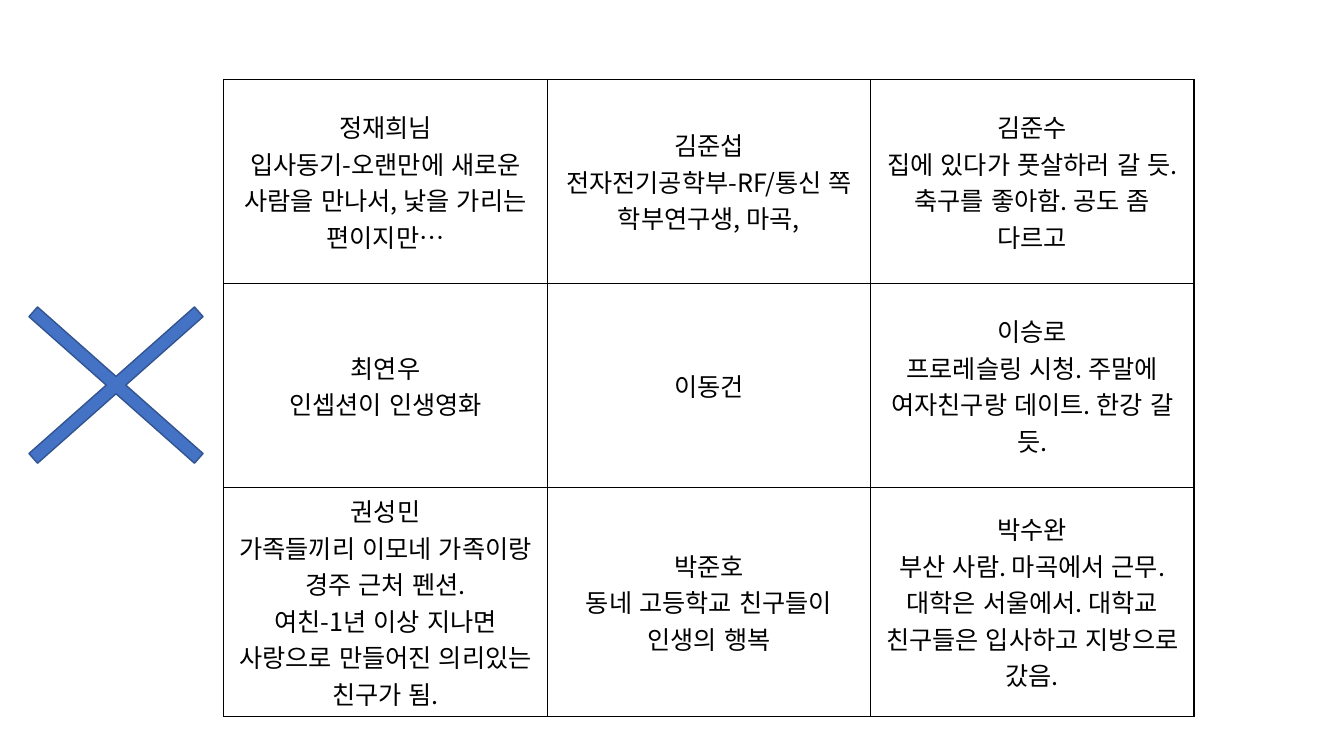
from dataclasses import dataclass

import pptx
import pptx.dml.color
import pptx.enum.shapes
import pptx.enum.text
import pptx.oxml.ns
import pptx.util
from lxml import etree
from pptx.util import Cm, Pt


@dataclass(frozen=True)
class Theme:
    font: str = "Noto Sans CJK KR"
    body: int = 18
    line: int = 1
    ink: str = "000000"
    cross_fill: str = "4472C4"
    cross_line: str = "325491"


THEME = Theme()

PEOPLE = [
    [
        ["정재희님", "입사동기-오랜만에 새로운 사람을 만나서, 낯을 가리는 편이지만…"],
        ["김준섭", "전자전기공학부-RF/통신 쪽 학부연구생, 마곡,"],
        ["김준수", "집에 있다가 풋살하러 갈 듯. 축구를 좋아함. 공도 좀 다르고"],
    ],
    [
        ["최연우", "인셉션이 인생영화"],
        ["이동건"],
        ["이승로", "프로레슬링 시청. 주말에 여자친구랑 데이트. 한강 갈 듯."],
    ],
    [
        ["권성민", "가족들끼리 이모네 가족이랑 경주 근처 펜션.",
         "여친-1년 이상 지나면 사랑으로 만들어진 의리있는 친구가 됨."],
        ["박준호", "동네 고등학교 친구들이 인생의 행복"],
        ["박수완", "부산 사람. 마곡에서 근무. 대학은 서울에서. "
                "대학교 친구들은 입사하고 지방으로 갔음."],
    ],
]


def rgb(color):
    return pptx.dml.color.RGBColor.from_string(color)


def sub(parent, tag, **attrs):
    return etree.SubElement(parent, pptx.oxml.ns.qn(tag), **attrs)


def add_text(p, text):
    """Add a run with the theme font for both Latin and Korean letters."""
    r = p.add_run()
    r.text = text
    r.font.size = Pt(THEME.body)
    r.font.name = THEME.font
    r.font.color.rgb = rgb(THEME.ink)
    rPr = r.font._element
    rPr.set("lang", "ko-KR")
    sub(rPr, "a:ea", typeface=THEME.font)


def add_borders(cell):
    tcPr = cell._tc.get_or_add_tcPr()
    for side in "LRTB":
        ln = sub(tcPr, f"a:ln{side}", w=str(Pt(THEME.line)))
        sub(sub(ln, "a:solidFill"), "a:srgbClr", val=THEME.ink)


def fill_cell(cell, lines):
    add_borders(cell)
    cell.fill.background()
    cell.vertical_anchor = pptx.enum.text.MSO_ANCHOR.MIDDLE
    tf = cell.text_frame
    for i, line in enumerate(lines):
        p = tf.add_paragraph() if i else tf.paragraphs[0]
        p.alignment = pptx.enum.text.PP_ALIGN.CENTER
        add_text(p, line)


def add_people_table(s, left, top, width, height):
    n_rows, n_cols = len(PEOPLE), len(PEOPLE[0])
    table = s.shapes.add_table(n_rows, n_cols, left, top, width, height).table
    table.first_row = table.horz_banding = False
    for i, people in enumerate(PEOPLE):
        for j, lines in enumerate(people):
            fill_cell(table.cell(i, j), lines)


def add_cross(s, left, top, width, height):
    sp = s.shapes.add_shape(
        pptx.enum.shapes.MSO_SHAPE.MATH_MULTIPLY, left, top, width, height)
    sp.adjustments[0] = 0.046
    sp.shadow.inherit = False
    sp.fill.solid()
    sp.fill.fore_color.rgb = rgb(THEME.cross_fill)
    sp.line.color.rgb = rgb(THEME.cross_line)
    sp.line.width = Pt(THEME.line)


def main():
    prs = pptx.Presentation()
    prs.slide_width, prs.slide_height = Cm(33.87), Cm(19.05)
    s = prs.slides.add_slide(prs.slide_layouts[6])
    add_people_table(s, Cm(5.64), Cm(2), Cm(24.45), Cm(15.42))
    add_cross(s, Cm(-1.09), Cm(6.15), Cm(8.03), Cm(7.11))
    prs.save("out.pptx")


if __name__ == "__main__":
    main()
